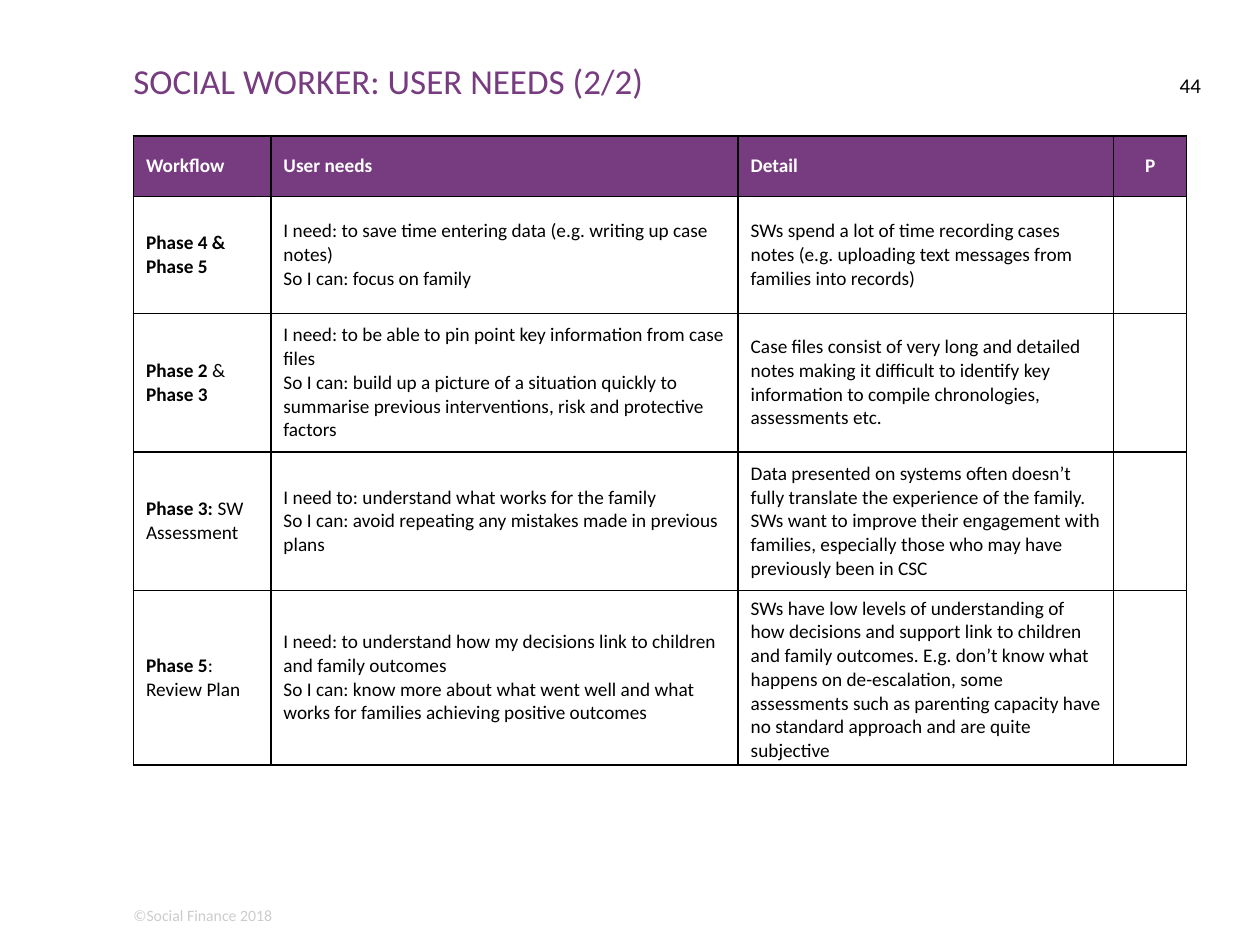
from lxml import etree
from pptx import Presentation
from pptx.dml.color import RGBColor
from pptx.enum.text import MSO_ANCHOR, PP_ALIGN
from pptx.oxml.ns import qn
from pptx.util import Cm, Pt

LEFT, CENTER, RIGHT = PP_ALIGN.LEFT, PP_ALIGN.CENTER, PP_ALIGN.RIGHT
MIDDLE = MSO_ANCHOR.MIDDLE

HEADINGS = ["Workflow", "User needs", "Detail", "P"]
# Each row: workflow runs as (text, bold), user need paragraphs, detail
NEEDS = [
    ([("Phase 4 & Phase 5", True)],
     ["I need: to save time entering data (e.g. writing up case notes)",
      "So I can: focus on family"],
     "SWs spend a lot of time recording cases notes (e.g. uploading text "
     "messages from families into records)"),
    ([("Phase 2 ", True), ("&", False), (" Phase 3", True)],
     ["I need: to be able to pin point key information from case files",
      "So I can: build up a picture of a situation quickly to summarise "
      "previous interventions, risk and protective factors"],
     "Case files consist of very long and detailed notes making it difficult "
     "to identify key information to compile chronologies, assessments etc."),
    ([("Phase 3: ", True), ("SW Assessment", False)],
     ["I need to: understand what works for the family",
      "So I can: avoid repeating any mistakes made in previous plans"],
     "Data presented on systems often doesn’t fully translate the experience "
     "of the family. SWs want to improve their engagement with families, "
     "especially those who may have previously been in CSC"),
    ([("Phase 5", True), (": Review Plan", False)],
     ["I need: to understand how my decisions link to children and family "
      "outcomes",
      "So I can: know more about what went well and what works for families "
      "achieving positive outcomes"],
     "SWs have low levels of understanding of how decisions and support link "
     "to children and family outcomes. E.g. don’t know what happens on "
     "de-escalation, some assessments such as parenting capacity have no "
     "standard approach and are quite subjective"),
]
COLUMN_WIDTHS = [2.77, 9.42, 7.57, 1.47]
ROW_HEIGHTS = [1.22, 2.36, 2.79, 2.79, 3.12]


def rgb(value):
    return RGBColor.from_string(value)


def write_text(frame, paragraphs, size=11, color="000000", bold=False,
               align=LEFT, font="Calibri"):
    """Fill a frame; a paragraph is a string or a list of (text, bold) runs."""
    for index, content in enumerate(paragraphs):
        paragraph = frame.add_paragraph() if index else frame.paragraphs[0]
        paragraph.alignment = align
        runs = [(content, bold)] if isinstance(content, str) else content
        for text, run_bold in runs:
            run = paragraph.add_run()
            run.text = text
            run.font.name = font
            run.font.size = Pt(size)
            run.font.bold = run_bold
            run.font.color.rgb = rgb(color)


class SlideBuilder:
    purple = "773C80"
    white = "FFFFFF"
    black = "000000"
    grey = "CCCCCC"
    margin = 2.69

    def __init__(self, presentation):
        self.slide = presentation.slides.add_slide(presentation.slide_layouts[6])

    def text_box(self, text, left, top, width, height, **style):
        shape = self.slide.shapes.add_textbox(
            Cm(left), Cm(top), Cm(width), Cm(height))
        frame = shape.text_frame
        frame.word_wrap = True
        frame.margin_left = frame.margin_right = 0
        frame.margin_top = frame.margin_bottom = 0
        write_text(frame, [text], **style)

    def table(self, left, top, widths, heights):
        table = self.slide.shapes.add_table(
            len(heights), len(widths), Cm(left), Cm(top),
            Cm(sum(widths)), Cm(sum(heights))).table
        for column, width in zip(table.columns, widths):
            column.width = Cm(width)
        for row, height in zip(table.rows, heights):
            row.height = Cm(height)
        return table

    def cell(self, cell, paragraphs, fill, **style):
        cell.vertical_anchor = MIDDLE
        self.cell_borders(cell)
        cell.fill.solid()
        cell.fill.fore_color.rgb = rgb(fill)
        write_text(cell.text_frame, paragraphs, **style)

    def cell_borders(self, cell):
        properties = cell._tc.get_or_add_tcPr()
        for side in ("a:lnL", "a:lnR", "a:lnT", "a:lnB"):
            line = etree.SubElement(properties, qn(side), w=str(Pt(1)))
            fill = etree.SubElement(line, qn("a:solidFill"))
            etree.SubElement(fill, qn("a:srgbClr"), val=self.black)


def main():
    presentation = Presentation()
    presentation.slide_width, presentation.slide_height = Cm(25.4), Cm(19.05)
    builder = SlideBuilder(presentation)

    builder.text_box("©Social Finance 2018", builder.margin, 18.26, 21.44, 0.38,
                     size=9, color=builder.grey)
    builder.text_box("SOCIAL WORKER: USER NEEDS (2/2)", builder.margin, 1.19,
                     20.27, 1.88, size=20, color=builder.purple)

    table = builder.table(builder.margin, 2.74, COLUMN_WIDTHS, ROW_HEIGHTS)
    for column, heading in enumerate(HEADINGS):
        builder.cell(table.cell(0, column), [heading], builder.purple,
                     color=builder.white, bold=True,
                     align=CENTER if heading == "P" else LEFT)
    for row, (workflow, needs, detail) in enumerate(NEEDS, start=1):
        for column, content in enumerate([[workflow], needs, [detail], []]):
            builder.cell(table.cell(row, column), content, builder.white)

    builder.text_box("44", 23.5, 1.47, 0.71, 1.02, size=12, align=RIGHT)
    presentation.save("out.pptx")


if __name__ == "__main__":
    main()
